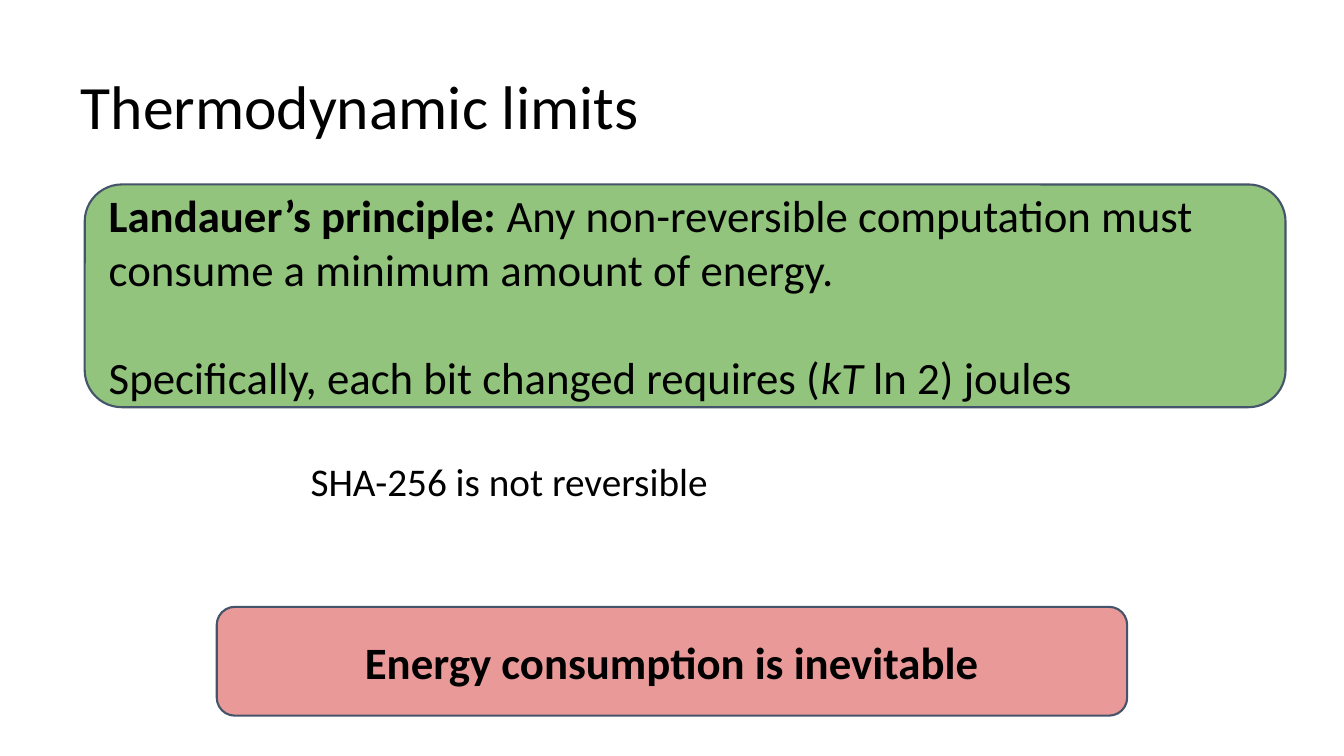
from pptx import Presentation
from pptx.dml.color import RGBColor as RGB
from pptx.enum.shapes import MSO_SHAPE as Kind
from pptx.enum.text import MSO_ANCHOR as Anchor, MSO_AUTO_SIZE as Fit, PP_ALIGN as Align
from pptx.oxml.xmlchemy import OxmlElement as Node
from pptx.util import Inches, Pt

# Content: paragraphs are lists of (text, style), b = bold, i = italic
TITLE = [[("Thermodynamic limits", "")]]
NOTE = [[("SHA-256 is not reversible", "")]]
LAW = [
    [("Landauer’s principle:", "b"),
     (" Any non-reversible computation must consume a minimum amount of energy.", "")],
    [("Specifically, each bit changed requires (", ""), ("kT ", "i"), ("ln 2) joules", "")],
]
CLAIM = [[("Energy consumption is inevitable", "b")]]

# Panels: place, fill, text, alignment
PANELS = [
    ((0.84, 1.83, 11.91, 2.21), "93C47D", LAW, Align.LEFT),
    ((2.15, 6.02, 9.03, 1.08), "EA9999", CLAIM, Align.CENTER),
]
FONT, INK, EDGE = "Calibri", "000000", "44546A"
PAD = Inches(0.13)
GAP = 39  # one line of 32 point text


def color(code):
    return RGB.from_string(code)


def write(shape, paras, size, anchor, align=Align.LEFT, lead=1.0):
    frame = shape.text_frame
    frame.word_wrap = True
    frame.auto_size = Fit.NONE
    frame.vertical_anchor = anchor
    frame.margin_left = frame.margin_right = PAD
    frame.margin_top = frame.margin_bottom = PAD
    for k, parts in enumerate(paras):
        para = frame.add_paragraph() if k else frame.paragraphs[0]
        para.alignment = align
        para.line_spacing = lead
        para.space_before = Pt(GAP if k else 0)
        for text, style in parts:
            run = para.add_run()
            run.text = text
            font = run.font
            font.name, font.size = FONT, Pt(size)
            font.bold, font.italic = style == "b", style == "i"
            font.color.rgb = color(INK)


def place(shape, box):
    shape.left, shape.top, shape.width, shape.height = map(Inches, box)


deck = Presentation()
deck.slide_width, deck.slide_height = Inches(13.33), Inches(7.5)
slide = deck.slides.add_slide(deck.slide_layouts[1])

# Title and note
title, note = slide.placeholders
place(title, (0.67, 0.3, 12, 1.25))
write(title, TITLE, 44, Anchor.BOTTOM, lead=0.9)
place(note, (2.95, 4.46, 6.74, 1.08))
write(note, NOTE, 28, Anchor.TOP, lead=0.9)
props = note.text_frame.paragraphs[0]._p.get_or_add_pPr()
props.set("marL", "0")
props.set("indent", "0")
props.append(Node("a:buNone"))

# Rounded panels
for box, fill, paras, align in PANELS:
    panel = slide.shapes.add_shape(Kind.ROUNDED_RECTANGLE, *map(Inches, box))
    panel.shadow.inherit = False
    panel.fill.solid()
    panel.fill.fore_color.rgb = color(fill)
    panel.line.color.rgb = color(EDGE)
    panel.line.width = Pt(1.5)
    write(panel, paras, 32, Anchor.MIDDLE, align)

deck.save("out.pptx")
